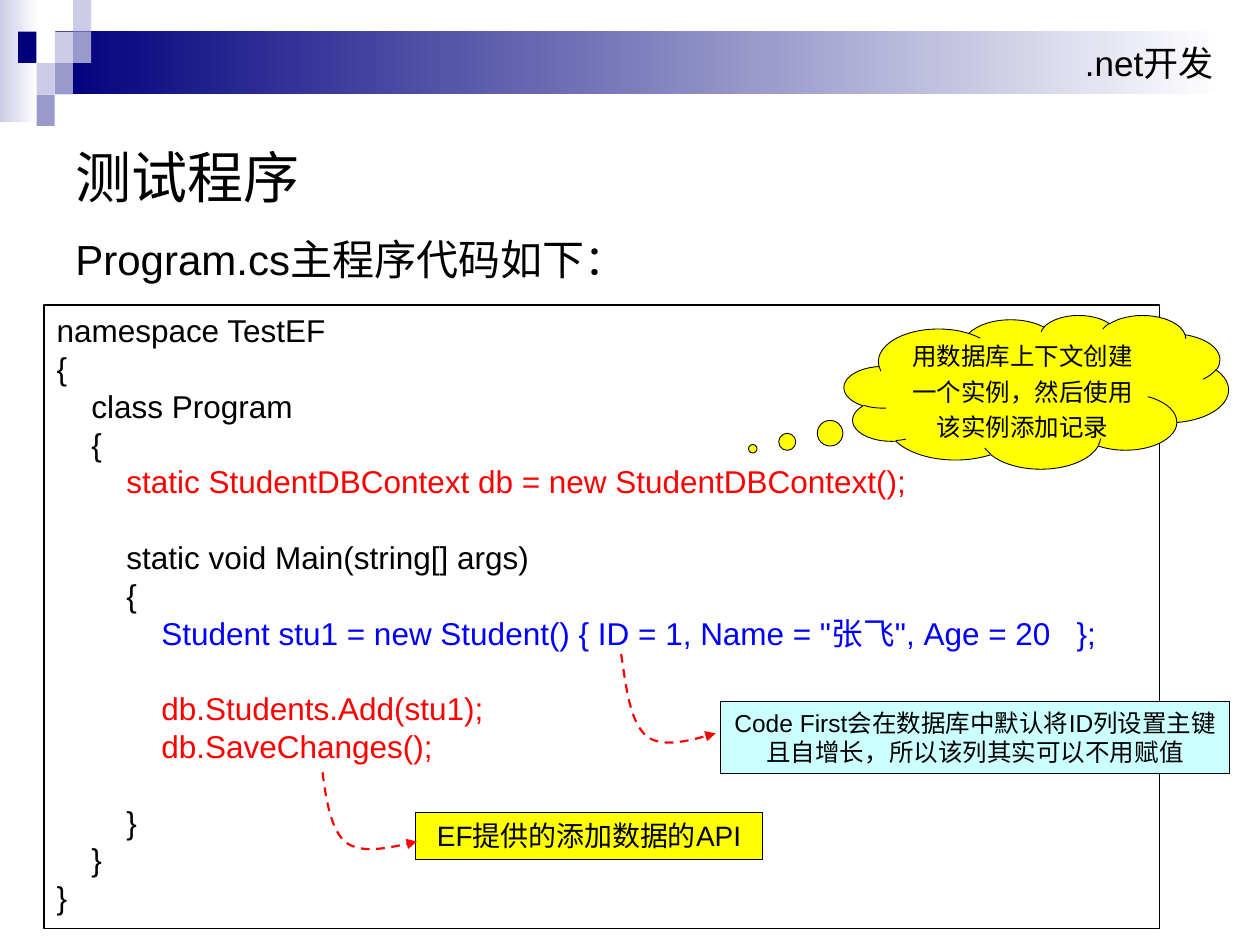
"""Build the test-program slide: a C# listing with explanatory callouts."""
from dataclasses import dataclass
from typing import NamedTuple, Optional

from lxml.etree import SubElement
from pptx import Presentation
from pptx.dml.color import RGBColor
from pptx.enum.dml import MSO_LINE
from pptx.enum.shapes import MSO_SHAPE
from pptx.enum.text import MSO_ANCHOR, PP_ALIGN
from pptx.oxml.ns import qn
from pptx.util import Inches, Pt

BLACK = RGBColor(0x00, 0x00, 0x00)
WHITE = RGBColor(0xFF, 0xFF, 0xFF)
NAVY = RGBColor(0x00, 0x00, 0x7D)
LAVENDER = RGBColor(0xCC, 0xCC, 0xE6)
PERIWINKLE = RGBColor(0x99, 0x99, 0xCC)
RED = RGBColor(0xFF, 0x00, 0x00)
BLUE = RGBColor(0x00, 0x00, 0xFF)
YELLOW = RGBColor(0xFF, 0xFF, 0x00)
CYAN = RGBColor(0xCC, 0xFF, 0xFF)

FONT = "Arial"
COLUMNS, ROWS = 1000, 750
SLIDE_WIDTH, SLIDE_HEIGHT = Inches(10), Inches(7.5)
UNIT = SLIDE_WIDTH // COLUMNS
TILE_WIDTH, TILE_HEIGHT = 14.5, 25
CURVE_STEPS = 16


class Box(NamedTuple):
    """Left, top, width and height in grid columns and rows."""
    left: float
    top: float
    width: float
    height: float

    def emu(self) -> list[int]:
        return [round(length * UNIT) for length in self]


class Line(NamedTuple):
    text: str
    color: RGBColor = BLACK


class Tile(NamedTuple):
    column: int
    row: int
    color: RGBColor


@dataclass
class Panel:
    box: Box
    lines: tuple[Line, ...] = ()
    size: int = 14
    fill: Optional[RGBColor] = None
    fade: Optional[RGBColor] = None
    outline: float = 0
    align: PP_ALIGN = PP_ALIGN.LEFT
    anchor: MSO_ANCHOR = MSO_ANCHOR.TOP
    spacing: float = 1.0
    geometry: MSO_SHAPE = MSO_SHAPE.RECTANGLE
    adjustments: tuple[float, ...] = ()


TILES = (
    Tile(3, 1, LAVENDER), Tile(4, 0, LAVENDER), Tile(4, 1, PERIWINKLE),
    Tile(2, 2, LAVENDER), Tile(1, 1, NAVY), Tile(3, 2, PERIWINKLE),
    Tile(2, 3, PERIWINKLE),
)
CODE = (
    Line("namespace TestEF"),
    Line("{"),
    Line("    class Program"),
    Line("    {"),
    Line("        static StudentDBContext db = new StudentDBContext();", RED),
    Line(""),
    Line("        static void Main(string[] args)"),
    Line("        {"),
    Line('            Student stu1 = new Student() { ID = 1, Name = "张飞", Age = 20   };', BLUE),
    Line(""),
    Line("            db.Students.Add(stu1);", RED),
    Line("            db.SaveChanges();", RED),
    Line(""),
    Line("        }"),
    Line("    }"),
    Line("}"),
)
BACKDROP = (
    Panel(Box(0, 0, 30, 97), fill=LAVENDER, fade=WHITE),
    Panel(Box(44, 25, 929, 50), (Line(".net开发"),), 20, NAVY, WHITE,
          align=PP_ALIGN.RIGHT, anchor=MSO_ANCHOR.MIDDLE),
)
TITLE = Panel(Box(50, 99, 900, 71), (Line("测试程序"),), 32,
              anchor=MSO_ANCHOR.MIDDLE, spacing=1.2)
INTRO = Panel(Box(50, 170, 900, 465), (Line("Program.cs主程序代码如下："),), 24, spacing=1.25)
CALLOUTS = (
    Panel(Box(35, 242, 885, 495), CODE, 18, outline=0.75),
    Panel(Box(572, 557, 404, 57),
          (Line("Code First会在数据库中默认将ID列设置主键且自增长，所以该列其实可以不用赋值"),),
          fill=CYAN, outline=0.75, align=PP_ALIGN.CENTER),
    Panel(Box(670, 250, 305, 122),
          (Line("用数据库上下文创建一个实例，然后使用该实例添加记录"),),
          fill=YELLOW, outline=0.5, align=PP_ALIGN.CENTER, anchor=MSO_ANCHOR.MIDDLE,
          spacing=1.2, geometry=MSO_SHAPE.CLOUD_CALLOUT, adjustments=(-0.738, 0.37)),
    Panel(Box(330, 645, 275, 37), (Line("EF提供的添加数据的API"),), 16,
          YELLOW, outline=0.75, align=PP_ALIGN.CENTER),
)
ARROWS = (
    ((493, 519), (497, 546), (500, 573), (513, 584), (525, 594), (547, 588), (568, 582)),
    ((256, 613), (259, 636), (263, 660), (275, 669), (288, 678), (309, 673), (331, 668)),
)


def write_lines(shape, panel: Panel) -> None:
    """Fill a shape with the panel's formatted lines."""
    frame = shape.text_frame
    frame.word_wrap = True
    frame.vertical_anchor = panel.anchor
    frame.text = "\n".join(line.text for line in panel.lines)
    for paragraph, line in zip(frame.paragraphs, panel.lines):
        paragraph.alignment = panel.align
        paragraph.line_spacing = panel.spacing
        for font in [paragraph.font] + [run.font for run in paragraph.runs]:
            font.name = FONT
            font.size = Pt(panel.size)
            font.color.rgb = line.color


def draw_panel(slide, panel: Panel) -> None:
    """Draw a preset shape with its fill, outline and text."""
    shape = slide.shapes.add_shape(panel.geometry, *panel.box.emu())
    shape.shadow.inherit = False
    for index, value in enumerate(panel.adjustments):
        shape.adjustments[index] = value
    if panel.fade is not None:
        shape.fill.gradient()
        shape.fill.gradient_angle = 0
        for stop, color in zip(shape.fill.gradient_stops, (panel.fill, panel.fade)):
            stop.color.rgb = color
    elif panel.fill is not None:
        shape.fill.solid()
        shape.fill.fore_color.rgb = panel.fill
    else:
        shape.fill.background()
    if panel.outline:
        shape.line.color.rgb = BLACK
        shape.line.width = Pt(panel.outline)
    else:
        shape.line.fill.background()
    if panel.lines:
        write_lines(shape, panel)


def draw_text(slide, panel: Panel, bullet: str = "") -> None:
    """Draw a plain text box, bulleted on request."""
    shape = slide.shapes.add_textbox(*panel.box.emu())
    if bullet:
        paragraph = shape.text_frame.paragraphs[0]
        paragraph.space_after = Pt(6)
        properties = paragraph._p.get_or_add_pPr()
        properties.set("marL", str(Inches(0.38)))
        properties.set("indent", str(-Inches(0.38)))
        color = SubElement(properties, qn("a:buClr"))
        SubElement(color, qn("a:srgbClr"), val=str(NAVY))
        SubElement(properties, qn("a:buFont"), typeface=FONT)
        SubElement(properties, qn("a:buChar"), char=bullet)
    write_lines(shape, panel)


def bezier(points, share: float) -> tuple[int, int]:
    """Return the EMU point at a share of a cubic curve."""
    rest = 1 - share
    weights = (rest ** 3, 3 * rest ** 2 * share, 3 * rest * share ** 2, share ** 3)
    x, y = (sum(w * value for w, value in zip(weights, axis)) for axis in zip(*points))
    return round(x * UNIT), round(y * UNIT)


def draw_arrow(slide, points) -> None:
    """Draw a dashed curved arrow through chained cubic curves."""
    trail = [bezier(points[start:start + 4], step / CURVE_STEPS)
             for start in range(0, len(points) - 1, 3)
             for step in range(1, CURVE_STEPS + 1)]
    builder = slide.shapes.build_freeform(*bezier(points[:4], 0))
    builder.add_line_segments(trail, close=False)
    arrow = builder.convert_to_shape()
    arrow.shadow.inherit = False
    arrow.fill.background()
    arrow.line.color.rgb = RED
    arrow.line.width = Pt(1.25)
    arrow.line.dash_style = MSO_LINE.DASH
    SubElement(arrow.line._get_or_add_ln(), qn("a:tailEnd"), type="triangle")


def main() -> None:
    """Build and save the slide."""
    deck = Presentation()
    deck.slide_width, deck.slide_height = SLIDE_WIDTH, SLIDE_HEIGHT
    slide = deck.slides.add_slide(deck.slide_layouts[6])
    for panel in BACKDROP:
        draw_panel(slide, panel)
    for tile in TILES:
        box = Box(tile.column * TILE_WIDTH, tile.row * TILE_HEIGHT, TILE_WIDTH, TILE_HEIGHT)
        draw_panel(slide, Panel(box, fill=tile.color))
    draw_text(slide, TITLE)
    draw_text(slide, INTRO, bullet="■")
    for panel in CALLOUTS:
        draw_panel(slide, panel)
    for points in ARROWS:
        draw_arrow(slide, points)
    deck.save("out.pptx")


if __name__ == "__main__":
    main()
